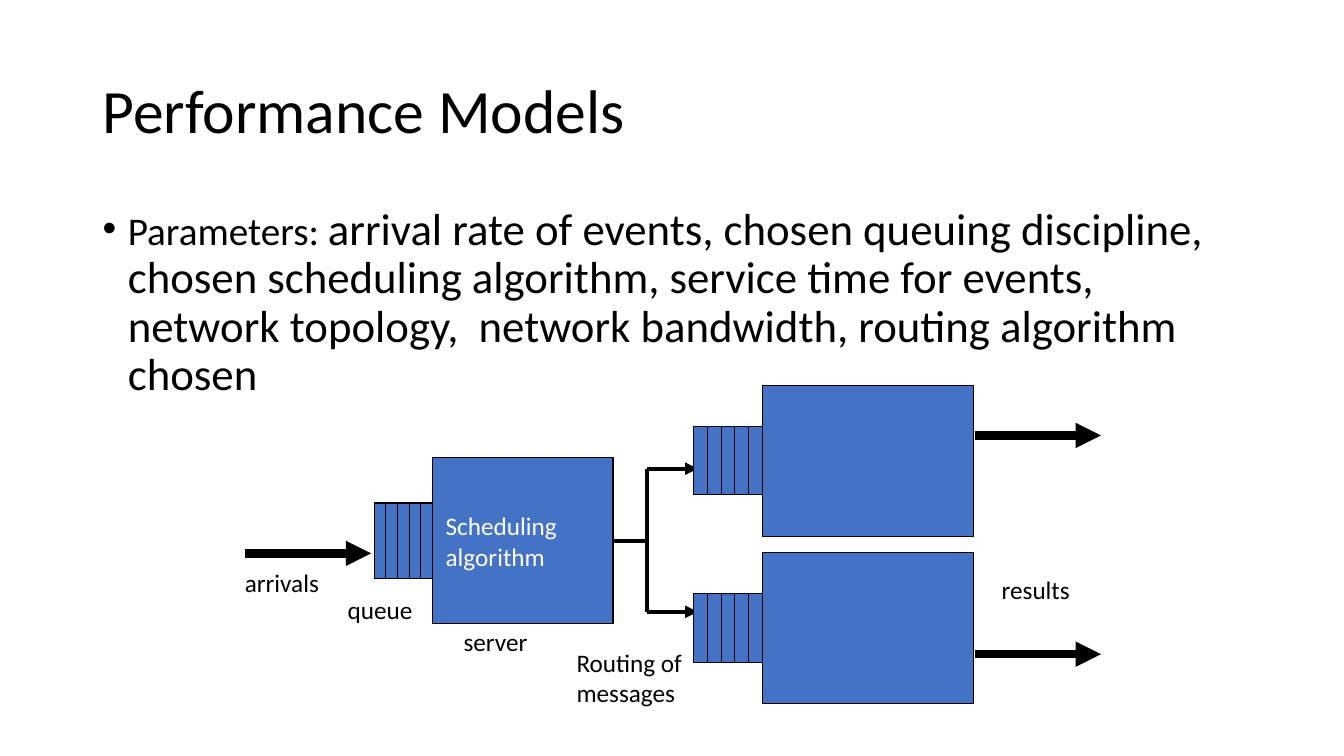
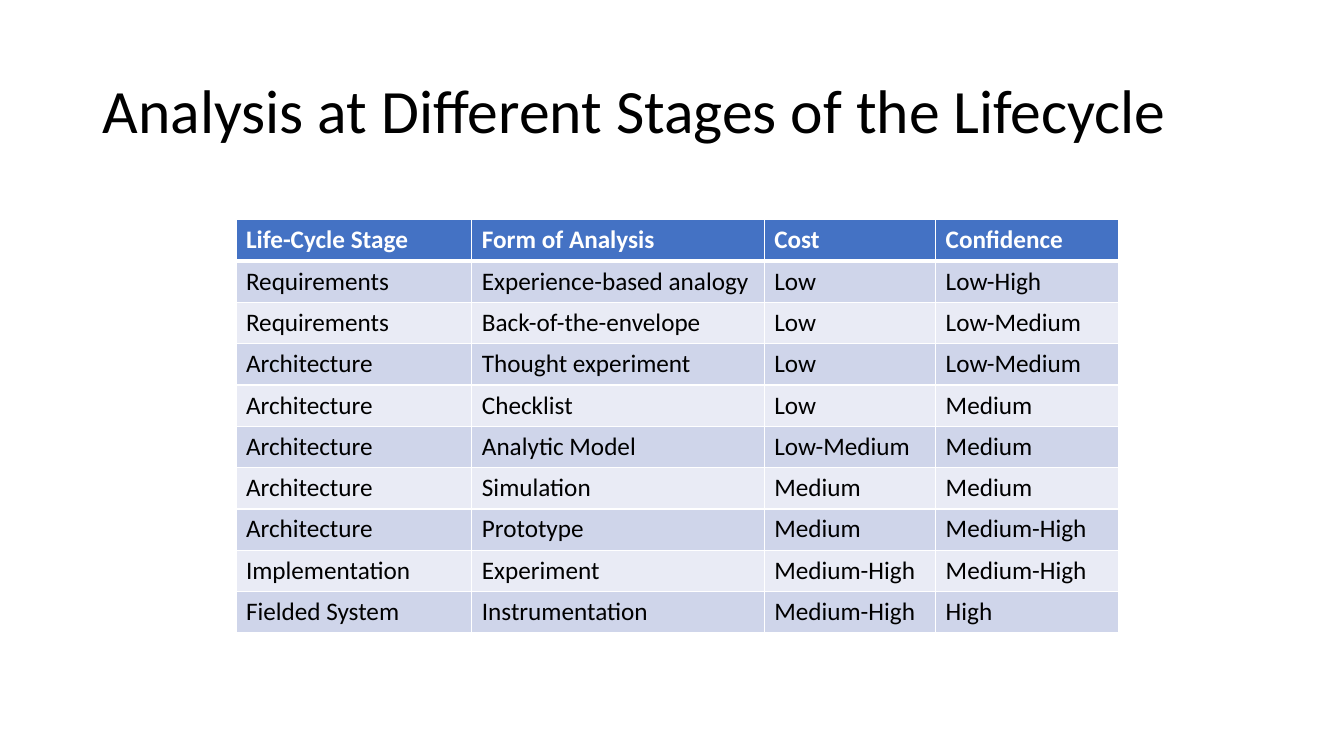
from pptx import Presentation
from pptx.dml.color import RGBColor as RGB
from pptx.enum.shapes import MSO_CONNECTOR as LINK, MSO_SHAPE as SHAPE
from pptx.enum.text import MSO_ANCHOR as ANCHOR, PP_ALIGN as ALIGN
from pptx.oxml import parse_xml
from pptx.oxml.ns import nsdecls, qn
from pptx.util import Inches, Pt

COLORS = {"ink": "000000", "white": "FFFFFF", "blue": "4472C4",
          "band": "CFD5EA", "pale": "E9EBF5"}
FONT = "Calibri"
ROWS = [
    ("Life-Cycle Stage", "Form of Analysis", "Cost", "Confidence"),
    ("Requirements", "Experience-based analogy", "Low", "Low-High"),
    ("Requirements", "Back-of-the-envelope", "Low", "Low-Medium"),
    ("Architecture", "Thought experiment", "Low", "Low-Medium"),
    ("Architecture", "Checklist", "Low", "Medium"),
    ("Architecture", "Analytic Model", "Low-Medium", "Medium"),
    ("Architecture", "Simulation", "Medium", "Medium"),
    ("Architecture", "Prototype", "Medium", "Medium-High"),
    ("Implementation", "Experiment", "Medium-High", "Medium-High"),
    ("Fielded System", "Instrumentation", "Medium-High", "High"),
]


def color(name):
    return RGB.from_string(COLORS[name])


def xml(tag, attrs="", inner=""):
    return parse_xml(f"<a:{tag} {nsdecls('a')} {attrs}>{inner}</a:{tag}>")


def assign(target, values):
    for name, value in values.items():
        setattr(target, name, value)


def write(para, text, size=18, ink="ink", bold=False):
    run = para.add_run()
    run.text = text
    assign(run.font, {"name": FONT, "size": Pt(size), "bold": bold})
    run.font.color.rgb = color(ink)


def add_text(slide, box, **frame):
    """Add an empty text box and return its first paragraph."""
    area = slide.shapes.add_textbox(*map(Inches, box)).text_frame
    assign(area, {"word_wrap": True, **frame})
    return area.paragraphs[0]


def add_title(slide, text):
    para = add_text(slide, (0.92, 0.4, 11.5, 1.45), vertical_anchor=ANCHOR.MIDDLE)
    para.line_spacing = 0.9
    write(para, text, 44)


def add_bullet(slide, box, parts):
    para = add_text(slide, box)
    props = para._p.get_or_add_pPr()
    for name, value in {"marL": 0.25, "indent": -0.25}.items():
        props.set(name, str(Inches(value)))
    props.append(xml("buFont", 'typeface="Arial"'))
    props.append(xml("buChar", 'char="•"'))
    para.line_spacing = 0.9
    for text, size in parts:
        write(para, text, size)


def add_line(slide, start, end, width, arrow=False):
    line = slide.shapes.add_connector(LINK.STRAIGHT, *map(Inches, start + end))
    line.line.width = Pt(width)
    line.line.color.rgb = color("ink")
    props = line.element.spPr
    if arrow:
        props.find(qn("a:ln")).append(xml("tailEnd", 'type="triangle"'))
    props.append(xml("effectLst"))
    return line


def add_rect(slide, box):
    rect = slide.shapes.add_shape(SHAPE.RECTANGLE, *map(Inches, box))
    rect.shadow.inherit = False
    rect.fill.solid()
    rect.fill.fore_color.rgb = color("blue")
    rect.line.color.rgb = color("ink")
    rect.line.width = Pt(0.75)
    return rect


def add_node(slide, box, queue, slots=5):
    """Draw a server with its queue, centred, against the left side."""
    left, top, width, height = box
    wide, tall = queue
    step = wide / slots
    for i in range(slots):
        add_rect(slide, (left - wide + i * step, top + (height - tall) / 2, step, tall))
    return add_rect(slide, box)


def add_model(slide, left, top):
    def at(x, y):
        return left + x, top + y

    labels = [
        ("arrivals", 0, 1.76, 0.94, 0.4, {}),
        ("queue", 1.02, 2.03, 0.85, 0.4, {}),
        ("server", 2.17, 2.34, 0.84, 0.4, {}),
        ("results", 7.5, 1.83, 0.88, 0.4, {"alignment": ALIGN.RIGHT}),
        ("Routing of messages", 3.29, 2.55, 1.5, 0.7, {}),
    ]
    for text, x, y, width, height, style in labels:
        para = add_text(slide, (*at(x, y), width, height), word_wrap=" " in text)
        assign(para, style)
        write(para, text)

    server = add_node(slide, (*at(1.96, 0.72), 1.79, 1.65), (0.58, 0.75))
    frame = server.text_frame
    assign(frame, {"word_wrap": True, "vertical_anchor": ANCHOR.MIDDLE,
                   "margin_left": Inches(0.13)})
    para = frame.paragraphs[0]
    para.alignment = ALIGN.LEFT
    write(para, "Scheduling algorithm", ink="white")

    fork, high, low = 4.09, 0.83, 2.25
    stem = add_line(slide, at(3.75, 1.545), at(fork, 1.545), 3)
    stem.begin_connect(server, 3)
    add_line(slide, at(fork, high), at(fork, low), 3)
    for y in (high, low):
        add_line(slide, at(fork, y), at(4.59, y), 3, arrow=True)
    for y in (0, 1.66):
        add_node(slide, (*at(5.23, y), 2.1, 1.5), (0.68, 0.68))
    for x, y in ((0.1, 1.67), (7.34, 0.5), (7.34, 2.67)):
        add_line(slide, at(x, y), at(x + 1.25, y), 6, arrow=True)


def style_cell(cell, fill, edges):
    props = cell._tc.get_or_add_tcPr()
    paint = f'<a:solidFill><a:srgbClr val="{COLORS["white"]}"/></a:solidFill>'
    for side, width in edges.items():
        props.append(xml(f"ln{side}", f'w="{Pt(width)}"', paint))
    cell.fill.solid()
    cell.fill.fore_color.rgb = color(fill)


def add_grid(slide, left, top, widths, height, rows):
    box = map(Inches, (left, top, sum(widths), height * len(rows)))
    table = slide.shapes.add_table(len(rows), len(widths), *box).table
    for col, width in zip(table.columns, widths):
        col.width = Inches(width)
    for r, row in enumerate(rows):
        head = r == 0
        table.rows[r].height = Inches(height)
        fill = "blue" if head else "band" if r % 2 else "pale"
        edges = {"L": 1, "R": 1, "T": 3 if r == 1 else 1, "B": 3 if head else 1}
        for c, text in enumerate(row):
            cell = table.cell(r, c)
            style_cell(cell, fill, edges)
            write(cell.text_frame.paragraphs[0], text,
                  ink="white" if head else "ink", bold=head)


def main():
    deck = Presentation()
    assign(deck, {"slide_width": Inches(13.33), "slide_height": Inches(7.5)})
    blank = deck.slide_layouts[6]

    slide = deck.slides.add_slide(blank)
    add_title(slide, "Performance Models")
    add_bullet(slide, (0.92, 2, 11.5, 4.76), [
        ("Parameters: ", 28),
        ("arrival rate of events, chosen queuing discipline, chosen scheduling "
         "algorithm, service time for events, network topology,  network "
         "bandwidth, routing algorithm chosen", 32),
    ])
    add_model(slide, 2.33, 3.82)

    slide = deck.slides.add_slide(blank)
    add_title(slide, "Analysis at Different Stages of the Lifecycle")
    add_grid(slide, 2.34, 2.18, (2.34, 2.9, 1.7, 1.81), 0.41, ROWS)

    deck.save("out.pptx")


if __name__ == "__main__":
    main()
